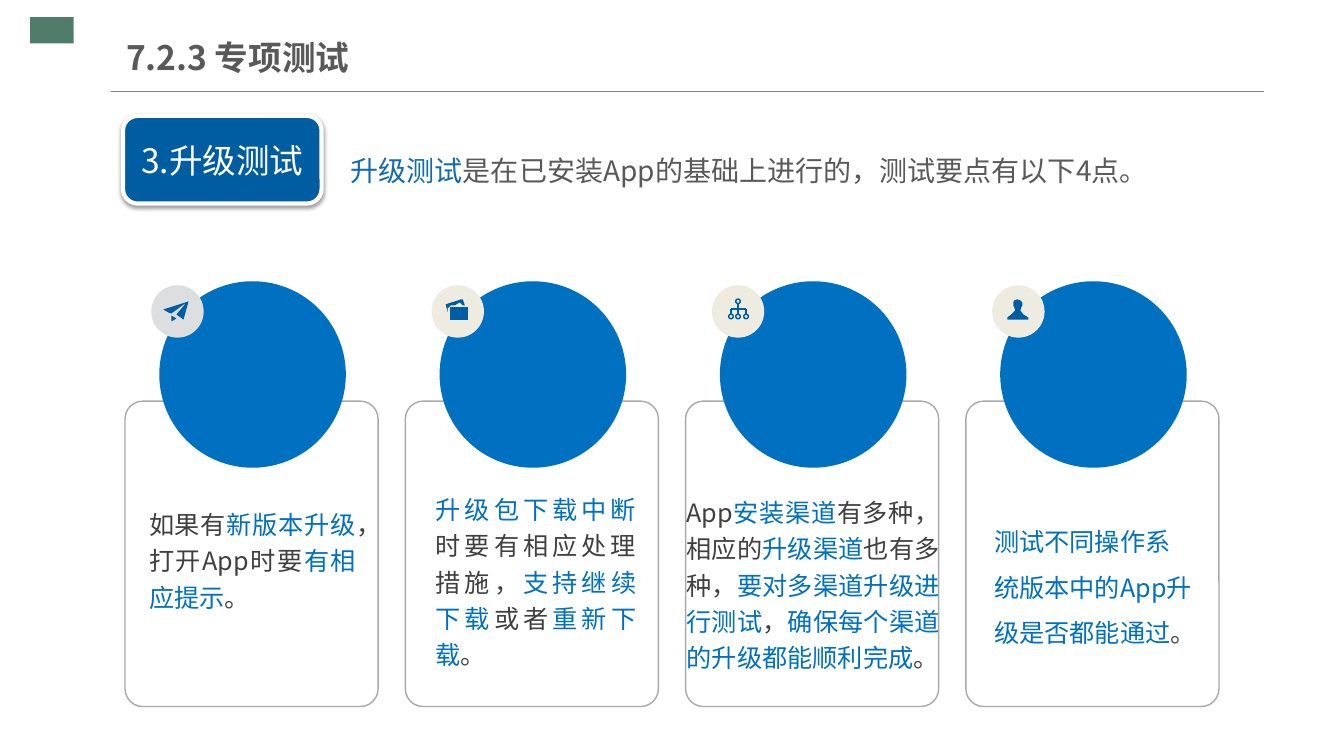
from lxml.etree import SubElement
from pptx import Presentation
from pptx.dml.color import RGBColor
from pptx.enum.shapes import MSO_CONNECTOR, MSO_SHAPE
from pptx.enum.text import MSO_ANCHOR, PP_ALIGN
from pptx.oxml.ns import qn
from pptx.util import Inches, Pt

FONT = "Noto Sans CJK SC"
BLUE, NAVY, DARK, GRAY = "0070C0", "005DA2", "404040", "595959"
CARD_LEFT, CARD_TOP, CARD_PITCH = 1.24, 3.98, 2.78
CARD_WIDTH, CARD_HEIGHT = 2.51, 3.03

PLANE = [
    [(.37, .16), (.12, .24), (.17, .27), (.2, .28), (.35, .17), (.25, .29), (.32, .34)],
    [(.2, .3), (.2, .36), (.25, .33)],
]
FOLDER = [
    [(.33, .2), (.31, .14), (.29, .14), (.14, .19), (.16, .27), (.16, .23),
     (.19, .2), (.23, .2), (.28, .17), (.31, .2)],
    [(.18, .22), (.36, .22), (.36, .34), (.18, .34)],
]
PERSON = [
    [(.31, .29), (.28, .25), (.29, .22), (.3, .2), (.3, .17), (.28, .15), (.25, .14),
     (.22, .15), (.21, .17), (.21, .2), (.22, .22), (.23, .25), (.19, .29),
     (.15, .32), (.15, .34), (.36, .34), (.36, .32)],
]
TREE_NODES = [(.26, .16), (.19, .31), (.26, .31), (.34, .31)]
TREE_LINES = [(.26, .18, .26, .29), (.19, .24, .34, .24),
              (.19, .24, .19, .29), (.34, .24, .34, .29)]


def color(value):
    """Turn a hex string into a colour."""
    return RGBColor.from_string(value)


def write(shape, runs, size=18, bold=False, align=PP_ALIGN.LEFT, spacing=1.0,
          anchor=MSO_ANCHOR.MIDDLE, insets=(0.1, 0.05)):
    """Write one paragraph of (text, colour) runs into a shape."""
    frame = shape.text_frame
    frame.word_wrap = True
    frame.vertical_anchor = anchor
    frame.margin_left = frame.margin_right = Inches(insets[0])
    frame.margin_top = frame.margin_bottom = Inches(insets[1])
    para = frame.paragraphs[0]
    para.alignment, para.line_spacing, para.space_before = align, spacing, Pt(0)
    for text, shade in runs:
        span = para.add_run()
        span.text = text
        span.font.name, span.font.size, span.font.bold = FONT, Pt(size), bold
        span.font.color.rgb = color(shade)
        SubElement(span.font._element, qn("a:ea"), typeface=FONT)


def paint(shape, fill=None, line=None, width=1):
    """Set the fill and outline of a shape and drop its shadow."""
    shape.shadow.inherit = False
    if fill:
        shape.fill.solid()
        shape.fill.fore_color.rgb = color(fill)
    else:
        shape.fill.background()
    if line:
        shape.line.color.rgb = color(line)
        shape.line.width = Pt(width)
    else:
        shape.line.fill.background()


def add_shape(page, kind, box, **look):
    """Add a painted preset shape in a box given in inches."""
    shape = page.shapes.add_shape(kind, *map(Inches, box))
    paint(shape, **look)
    return shape


def add_text(page, box, runs, **style):
    """Add a text box with coloured runs."""
    write(page.shapes.add_textbox(*map(Inches, box)), runs, **style)


def add_line(page, ends, shade, width):
    """Add a straight line without a shadow."""
    line = page.shapes.add_connector(MSO_CONNECTOR.STRAIGHT, *map(Inches, ends))
    line.line.color.rgb = color(shade)
    line.line.width = Pt(width)
    SubElement(line._element.spPr, qn("a:effectLst"))


def draw_outlines(page, left, top, outlines):
    """Draw closed icon outlines from the corner of a badge."""
    for outline in outlines:
        points = [(Inches(left + x), Inches(top + y)) for x, y in outline]
        builder = page.shapes.build_freeform(*points[0])
        builder.add_line_segments(points[1:], close=True)
        paint(builder.convert_to_shape(), fill=NAVY)


def draw_tree(page, left, top):
    """Draw the branching icon from the corner of a badge."""
    for x1, y1, x2, y2 in TREE_LINES:
        add_line(page, (left + x1, top + y1, left + x2, top + y2), NAVY, 1.4)
    for x, y in TREE_NODES:
        add_shape(page, MSO_SHAPE.DONUT, (left + x - .03, top + y - .03, .06, .06), fill=NAVY)


def add_header(page):
    """Place the corner block, the title and its rule."""
    add_shape(page, MSO_SHAPE.RECTANGLE, (.3, .17, .43, .26), fill="4F7D6A")
    add_line(page, (1.1, .91, 12.54, .91), "808080", .75)
    title = page.shapes.title
    title.left, title.top, title.width, title.height = map(Inches, (1.25, .29, 4.26, .55))
    write(title, [("7.2.3 专项测试", GRAY)], size=24, bold=True, insets=(0, .07))


def add_topic(page):
    """Place the topic label with its shadow and the introduction."""
    label = add_shape(page, MSO_SHAPE.ROUNDED_RECTANGLE, (1.22, 1.15, 1.97, .87),
                      fill=NAVY, line="FFFFFF", width=3)
    effects = label._element.spPr.find(qn("a:effectLst"))
    shadow = SubElement(effects, qn("a:outerShdw"), blurRad=str(Pt(3.1)),
                        dist=str(Pt(1.6)), dir="5400000", rotWithShape="0")
    shade = SubElement(shadow, qn("a:srgbClr"), val="000000")
    SubElement(shade, qn("a:alpha"), val="38000")
    write(label, [("3.升级测试", "FFFFFF")], size=24, align=PP_ALIGN.CENTER)
    add_text(page, (3.38, 1.31, 7.87, .55),
             [("升级测试", "1369B2"), ("是在已安装App的基础上进行的，测试要点有以下4点。", GRAY)],
             size=20, spacing=1.5, anchor=MSO_ANCHOR.TOP)


def add_card(page, left, top, outlines, badge_fill, text_box, runs, **style):
    """Place one card with its circle, badge, icon and text."""
    frame = add_shape(page, MSO_SHAPE.ROUNDED_RECTANGLE,
                      (left, top, CARD_WIDTH, CARD_HEIGHT), line="A6AAA9")
    frame.adjustments[0] = .07
    add_shape(page, MSO_SHAPE.OVAL, (left + .34, top - 1.19, 1.85, 1.85), fill=BLUE)
    badge_left, badge_top = left + .26, top - 1.15
    add_shape(page, MSO_SHAPE.OVAL, (badge_left, badge_top, .52, .52), fill=badge_fill)
    if outlines:
        draw_outlines(page, badge_left, badge_top, outlines)
    else:
        draw_tree(page, badge_left, badge_top)
    x, y, width, height = text_box
    add_text(page, (left + x, top + y, width, height), runs, **style)


def add_cards(page):
    """Place the four test points at equal steps."""
    justified = dict(align=PP_ALIGN.JUSTIFY, spacing=1.2)
    flush = dict(justified, insets=(0, 0))
    cards = [
        (PLANE, "DCDEE0", (.14, .82, 2.25, 1.47),
         [("如果有", DARK), ("新版本升级", BLUE), ("，打开App时要", DARK),
          ("有相应提示", BLUE), ("。", DARK)], justified),
        (FOLDER, "EEECE1", (.3, .69, 1.99, 2.15),
         [("升级包下载中断", BLUE), ("时要有相应处理措施，", DARK), ("支持继续下载", BLUE),
          ("或者", DARK), ("重新下载", BLUE), ("。", DARK)], flush),
        (None, "EEECE1", (.01, .7, 2.51, 2.19),
         [("App", DARK), ("安装渠道", BLUE), ("有多种，相应的", DARK), ("升级渠道", BLUE),
          ("也有多种，", DARK), ("要对多渠道升级进行测试", BLUE), ("，", DARK),
          ("确保每个渠道的升级都能顺利完成", BLUE), ("。", DARK)], flush),
        (PERSON, "EEECE1", (.28, .7, 1.99, 2.14),
         [("测试不同操作系统版本中的App升级是否都能通过", BLUE), ("。", DARK)],
         dict(spacing=1.5, insets=(0, 0))),
    ]
    for index, (outlines, badge_fill, text_box, runs, style) in enumerate(cards):
        add_card(page, CARD_LEFT + index * CARD_PITCH, CARD_TOP,
                 outlines, badge_fill, text_box, runs, **style)


def main():
    """Build and save the deck."""
    deck = Presentation()
    deck.slide_width, deck.slide_height = Inches(13.33), Inches(7.5)
    page = deck.slides.add_slide(deck.slide_layouts[5])
    add_header(page)
    add_topic(page)
    add_cards(page)
    deck.save("out.pptx")


if __name__ == "__main__":
    main()
